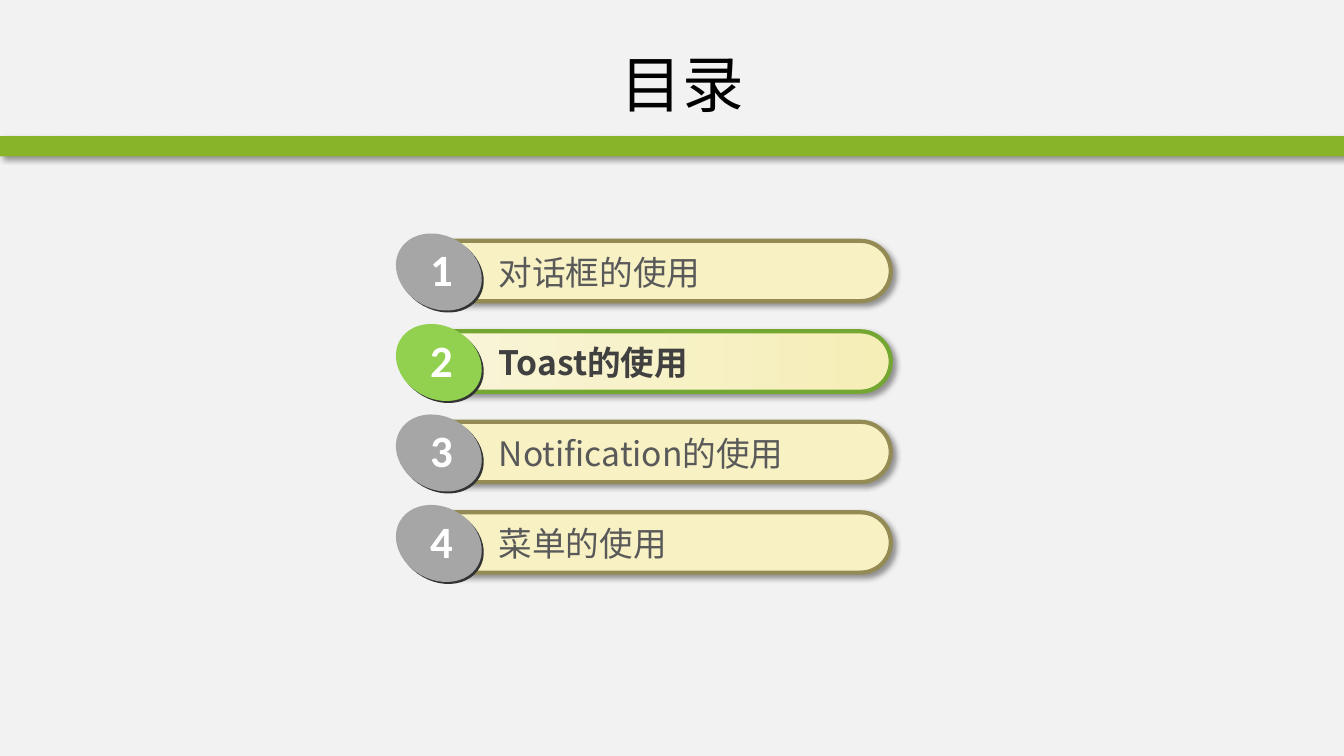
from lxml import etree
from pptx import Presentation
from pptx.dml.color import RGBColor
from pptx.enum.shapes import MSO_SHAPE
from pptx.enum.text import MSO_ANCHOR, MSO_AUTO_SIZE, PP_ALIGN
from pptx.oxml.ns import qn
from pptx.util import Cm, Pt

RECT, PILL, OVAL = MSO_SHAPE.RECTANGLE, MSO_SHAPE.ROUNDED_RECTANGLE, MSO_SHAPE.OVAL
LEFT, CENTER = PP_ALIGN.LEFT, PP_ALIGN.CENTER
TOP, MIDDLE = MSO_ANCHOR.TOP, MSO_ANCHOR.MIDDLE
FIT = MSO_AUTO_SIZE.SHAPE_TO_FIT_TEXT
WIDTH, HEIGHT = 33.87, 19.05
ROW_TOP, ROW_PITCH = 5.94, 2.28


def rgb(color):
    return RGBColor.from_string(color)


class SlideBuilder:
    cjk, latin = "Noto Sans CJK SC", "Calibri"

    def __init__(self, slide):
        self.s = slide
        self.shapes = slide.shapes

    def background(self, color):
        fill = self.s.background.fill
        fill.solid()
        fill.fore_color.rgb = rgb(color)

    def group(self):
        self.shapes = self.s.shapes.add_group_shape().shapes

    def shape(self, kind, x, y, w, h, colors, line=None, shadow=False):
        """One colour gives a solid fill, two give a left-to-right gradient."""
        sp = self.shapes.add_shape(kind, Cm(x), Cm(y), Cm(w), Cm(h))
        if len(colors) == 1:
            sp.fill.solid()
            sp.fill.fore_color.rgb = rgb(colors[0])
        else:
            sp.fill.gradient()
            sp.fill.gradient_angle = 0
            for stop, color in zip(sp.fill.gradient_stops, colors):
                stop.color.rgb = rgb(color)
        if line:
            sp.line.color.rgb = rgb(line)
            sp.line.width = Pt(3)
        else:
            sp.line.fill.background()
        sp.shadow.inherit = False
        if shadow:
            self.drop_shadow(sp)
        return sp

    def drop_shadow(self, sp):
        effects = sp._element.spPr.find(qn("a:effectLst"))
        outer = etree.SubElement(effects, qn("a:outerShdw"), blurRad=str(Pt(4)),
                                 dist=str(Pt(3)), dir="2700000", algn="tl", rotWithShape="0")
        color = etree.SubElement(outer, qn("a:srgbClr"), val="000000")
        etree.SubElement(color, qn("a:alpha"), val="40000")

    def text(self, text, x, y, w, h, size, color, font=cjk, bold=False,
             align=LEFT, anchor=TOP, wrap=True, fit=True):
        tf = self.shapes.add_textbox(Cm(x), Cm(y), Cm(w), Cm(h)).text_frame
        tf.word_wrap = wrap
        tf.vertical_anchor = anchor
        if fit:
            tf.auto_size = FIT
        p = tf.paragraphs[0]
        p.text = text
        p.alignment = align
        p.font.size = Pt(size)
        p.font.bold = bold
        p.font.color.rgb = rgb(color)
        p.font.name = font
        props = p._p.pPr.find(qn("a:defRPr"))
        etree.SubElement(props, qn("a:ea"), typeface=font)

    def agenda_row(self, number, label, active):
        y = ROW_TOP + (number - 1) * ROW_PITCH
        fill = ["F9F5D9", "F5EEB7"] if active else ["F7F1C4"]
        border = "74A731" if active else "948A54"
        self.group()
        pill = self.shape(PILL, 10.49, y + 0.13, 11.96, 1.52, fill, border, shadow=True)
        pill.adjustments[0] = 0.5
        self.text(label, 12.32, y + 0.28, 9.53, 1.28, 24,
                  "404040" if active else "595959", bold=active)
        # Number badge: dark edge behind a coloured face
        face = "92D050" if active else "A6A6A6"
        for offset, color in ((0.05, "333333"), (0, face)):
            oval = self.shape(OVAL, 9.93 + offset, y + offset, 2.26, 1.83, [color])
            oval.rotation = 29.3
        self.text(str(number), 10.59, y + 0.03, 1.09, 1.63, 32, "FFFFFF",
                  font=self.latin, bold=True, wrap=False)


def main():
    prs = Presentation()
    prs.slide_width, prs.slide_height = Cm(WIDTH), Cm(HEIGHT)
    b = SlideBuilder(prs.slides.add_slide(prs.slide_layouts[6]))

    # Header
    b.background("F2F2F2")
    b.shape(RECT, 0, 3.43, WIDTH, 0.51, ["88B429"], shadow=True)
    b.text("目录", 3.53, 0.76, 27.33, 2.67, 44, "000000",
           align=CENTER, anchor=MIDDLE, fit=False)

    # Agenda, with the current topic highlighted
    topics = ["对话框的使用", "Toast的使用", "Notification的使用", "菜单的使用"]
    for number, topic in enumerate(topics, 1):
        b.agenda_row(number, topic, active=number == 2)

    prs.save("out.pptx")


if __name__ == "__main__":
    main()
